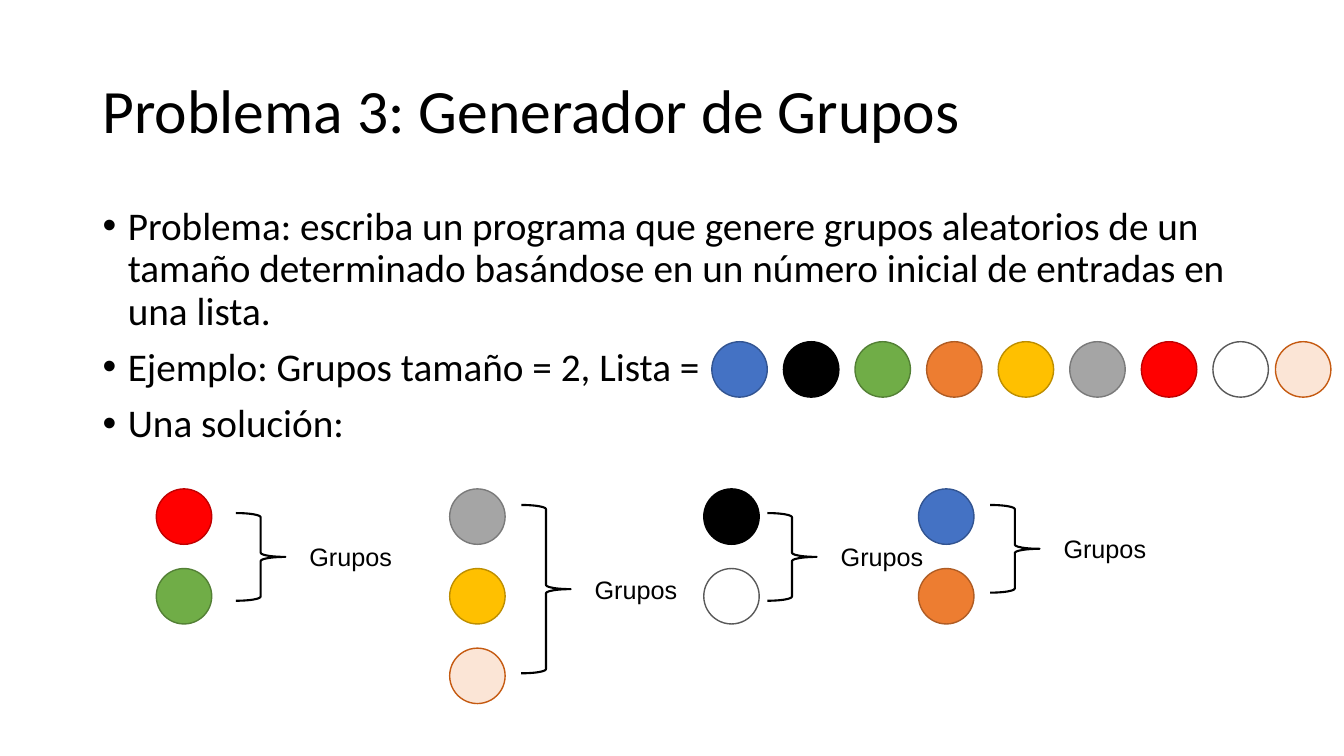
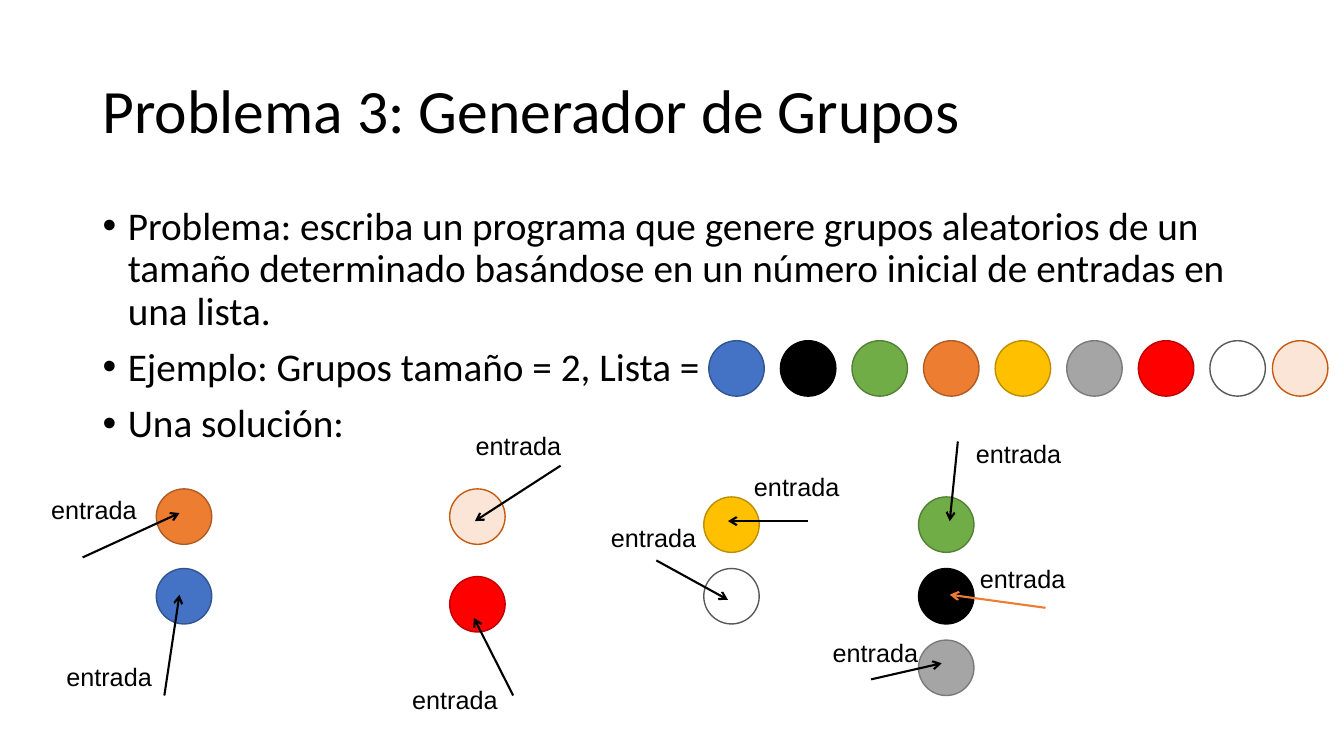
from dataclasses import dataclass
from typing import NamedTuple

from lxml.etree import SubElement
from pptx import Presentation
from pptx.dml.color import RGBColor
from pptx.enum.shapes import MSO_CONNECTOR as Connector, MSO_SHAPE as Shape
from pptx.enum.text import MSO_ANCHOR as Anchor
from pptx.oxml.ns import qn
from pptx.util import Inches, Pt


class Ball(NamedTuple):
    fill: str
    line: str


@dataclass(frozen=True)
class Theme:
    ink: str = "000000"
    accent: str = "ED7D31"
    heading_font: str = "Calibri"
    label_font: str = "Arial"
    title_size: int = 44
    body_size: int = 28
    label_size: int = 18
    outline: float = 1
    stroke: float = 1.5
    ball_size: float = 0.55


THEME = Theme()

BLUE = Ball("4472C4", "325491")
BLACK = Ball("000000", "000000")
GREEN = Ball("70AD47", "538035")
ORANGE = Ball("ED7D31", "AF5C24")
GOLD = Ball("FFC000", "BD8E00")
GRAY = Ball("A5A5A5", "7A7A7A")
RED = Ball("FF0000", "C00000")
WHITE = Ball("FFFFFF", "595959")
PEACH = Ball("FBE5D6", "C55A11")

# Shared content
TITLE = "Problema 3: Generador de Grupos"
BULLETS = [
    "Problema: escriba un programa que genere grupos aleatorios de un "
    "tamaño determinado basándose en un número inicial de entradas en una lista.",
    "Ejemplo: Grupos tamaño = 2, Lista =",
    "Una solución:",
]
BALL_LIST = [BLUE, BLACK, GREEN, ORANGE, GOLD, GRAY, RED, WHITE, PEACH]
LIST_PITCH = 0.71
LAST_OFFSET = 5.59  # the last ball sits closer to its neighbour

# Slide 1: balls, column left, brace left, top and height
GROUP_TOP, GROUP_PITCH = 4.85, 0.79
GROUPS = [
    ([RED, GREEN], 1.55, 2.34, 5.09, 0.87),
    ([GRAY, GOLD, PEACH], 4.46, 5.17, 5.01, 1.67),
    ([BLACK, WHITE], 6.98, 7.61, 5.09, 0.87),
    ([BLUE, ORANGE], 9.11, 9.82, 5.01, 0.87),
]

# Slide 2: ball, its corner, arrow start, arrow end, label corner
ENTRIES = [
    (ORANGE, (1.55, 4.85), (0.82, 5.53), (1.78, 5.09), (0.41, 4.85)),
    (BLUE, (1.55, 5.64), (1.63, 6.9), (1.78, 5.9), (0.56, 6.51)),
    (PEACH, (4.46, 4.85), (5.56, 4.62), (4.71, 5.17), (4.62, 4.22)),
    (RED, (4.46, 5.72), (5.09, 6.9), (4.7, 6.13), (3.99, 6.74)),
    (GOLD, (6.98, 4.93), (8.01, 5.17), (7.22, 5.17), (7.38, 4.63)),
    (WHITE, (6.98, 5.64), (6.51, 5.56), (7.22, 5.95), (5.96, 5.13)),
    (GREEN, (9.11, 4.93), (9.5, 4.38), (9.42, 5.17), (9.58, 4.3)),
    (BLACK, (9.11, 5.64), (10.37, 6.03), (9.42, 5.9), (9.62, 5.54)),
    (GRAY, (9.11, 6.35), (8.64, 6.74), (9.34, 6.58), (8.16, 6.27)),
]


class Deck:
    def __init__(self, theme):
        self.theme = theme
        self.presentation = Presentation()
        self.presentation.slide_width = Inches(13.33)
        self.presentation.slide_height = Inches(7.5)
        self.slide = None

    def problem_slide(self, list_left, list_top):
        """Start a slide with the shared title, bullets and ball list."""
        layout = self.presentation.slide_layouts[6]
        self.slide = self.presentation.slides.add_slide(layout)
        self.title(TITLE)
        self.bullets(BULLETS)
        for index, ball in enumerate(BALL_LIST):
            is_last = index == len(BALL_LIST) - 1
            offset = LAST_OFFSET if is_last else index * LIST_PITCH
            self.ball(ball, list_left + offset, list_top)

    # Text
    def text_frame(self, left, top, width, height):
        box = self.slide.shapes.add_textbox(
            Inches(left), Inches(top), Inches(width), Inches(height))
        box.text_frame.word_wrap = True
        return box.text_frame

    def style_text(self, paragraph, font_name, size):
        for run in paragraph.runs:
            run.font.name = font_name
            run.font.size = Pt(size)
            run.font.color.rgb = RGBColor.from_string(self.theme.ink)

    def title(self, text):
        frame = self.text_frame(0.92, 0.4, 11.5, 1.45)
        frame.vertical_anchor = Anchor.MIDDLE
        frame.text = text
        paragraph = frame.paragraphs[0]
        paragraph.line_spacing = 0.9
        self.style_text(paragraph, self.theme.heading_font, self.theme.title_size)

    def bullets(self, lines):
        frame = self.text_frame(0.92, 2, 11.5, 4.76)
        frame.text = "\n".join(lines)
        for index, paragraph in enumerate(frame.paragraphs):
            self.add_bullet(paragraph)
            paragraph.line_spacing = 0.9
            paragraph.space_before = Pt(10 if index else 0)
            self.style_text(paragraph, self.theme.heading_font, self.theme.body_size)

    def add_bullet(self, paragraph):
        properties = paragraph._p.get_or_add_pPr()
        properties.set("marL", str(Inches(0.25)))
        properties.set("indent", str(Inches(-0.25)))
        color = SubElement(properties, qn("a:buClr"))
        SubElement(color, qn("a:srgbClr"), val=self.theme.ink)
        SubElement(properties, qn("a:buFont"), typeface=self.theme.label_font)
        SubElement(properties, qn("a:buChar"), char="•")

    def label(self, text, left, top):
        frame = self.text_frame(left, top, 1.1, 0.4)
        frame.text = text
        self.style_text(frame.paragraphs[0], self.theme.label_font,
                        self.theme.label_size)

    # Shapes and lines
    def style_line(self, line, color, width):
        line.color.rgb = RGBColor.from_string(color)
        line.width = Pt(width)

    def ball(self, ball, left, top):
        size = Inches(self.theme.ball_size)
        shape = self.slide.shapes.add_shape(
            Shape.OVAL, Inches(left), Inches(top), size, size)
        shape.shadow.inherit = False
        shape.fill.solid()
        shape.fill.fore_color.rgb = RGBColor.from_string(ball.fill)
        self.style_line(shape.line, ball.line, self.theme.outline)

    def brace(self, left, top, height):
        shape = self.slide.shapes.add_shape(
            Shape.RIGHT_BRACE, Inches(left), Inches(top),
            Inches(0.49), Inches(height))
        shape.shadow.inherit = False
        shape.fill.background()
        self.style_line(shape.line, self.theme.ink, self.theme.stroke)

    def arrow(self, start, end, color):
        points = [Inches(value) for value in (*start, *end)]
        connector = self.slide.shapes.add_connector(Connector.STRAIGHT, *points)
        self.style_line(connector.line, color, self.theme.stroke)
        SubElement(connector.line._get_or_add_ln(), qn("a:tailEnd"), type="arrow")
        SubElement(connector._element.spPr, qn("a:effectLst"))


def main():
    deck = Deck(THEME)

    # Slide 1: solution as braced groups
    deck.problem_slide(7.06, 3.39)
    for balls, left, brace_left, brace_top, brace_height in GROUPS:
        for row, ball in enumerate(balls):
            deck.ball(ball, left, GROUP_TOP + row * GROUP_PITCH)
        deck.brace(brace_left, brace_top, brace_height)
        deck.label("Grupos", brace_left + 0.63, brace_top + brace_height / 2 - 0.2)

    # Slide 2: solution with every entry pointed out
    deck.problem_slide(7.03, 3.38)
    for ball, corner, start, end, label_corner in ENTRIES:
        deck.ball(ball, *corner)
        deck.arrow(start, end, THEME.accent if ball is BLACK else THEME.ink)
        deck.label("entrada", *label_corner)

    deck.presentation.save("out.pptx")


if __name__ == "__main__":
    main()
